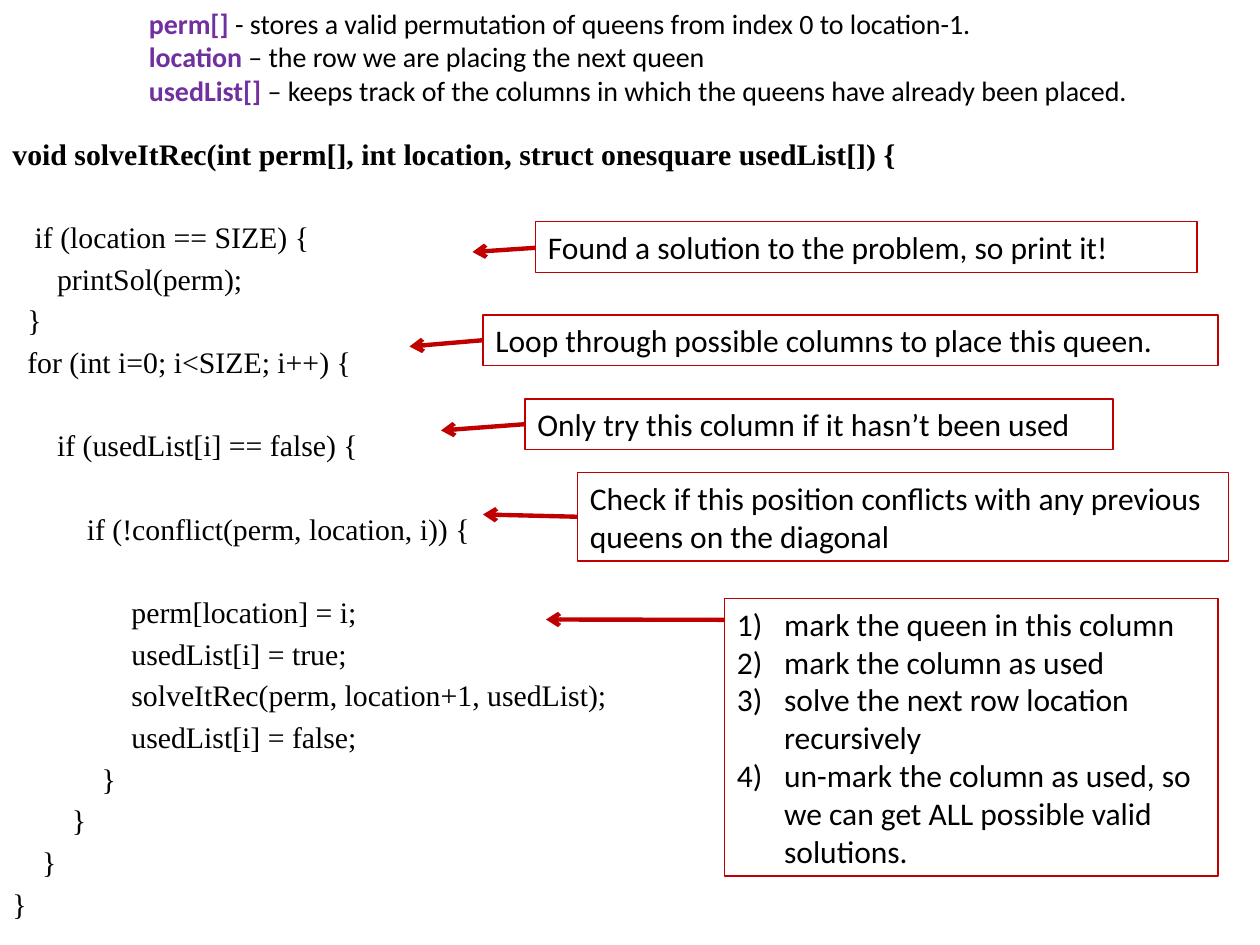
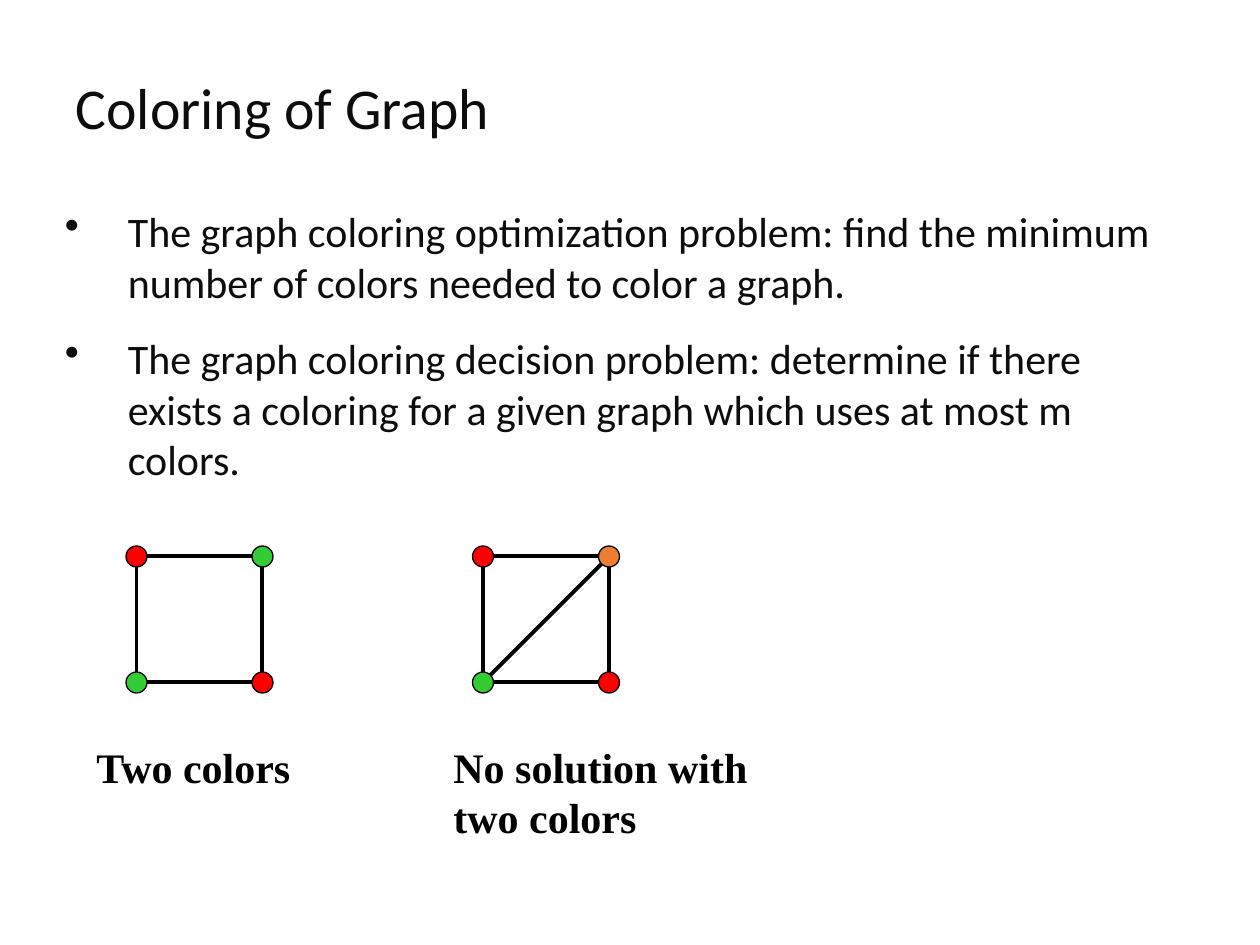
from lxml.etree import SubElement
from pptx import Presentation
from pptx.dml.color import RGBColor
from pptx.enum.shapes import MSO_CONNECTOR, MSO_SHAPE
from pptx.enum.text import MSO_ANCHOR, MSO_AUTO_SIZE, PP_ALIGN
from pptx.oxml.ns import qn
from pptx.util import Pt

TITLE_ONLY, BLANK = 5, 6
BLACK, WHITE, INK = "000000", "FFFFFF", "0D0D0D"
RED, GREEN, ORANGE = "FF0000", "33CC33", "ED7D31"
CALLOUT_RED, KEYWORD_PURPLE = "C00000", "7030A0"
SANS, SERIF = "Calibri", "Times New Roman"

TERMS = [
    ("perm[] ", "- stores a valid permutation of queens from index 0 to location-1."),
    ("location", " – the row we are placing the next queen"),
    ("usedList[] ", "– keeps track of the columns in which the queens have already been placed."),
]

# Indent in characters, blank lines above, text
CODE = [
    (0, 0, "void solveItRec(int perm[], int location, struct onesquare usedList[]) {"),
    (3, 1, "if (location == SIZE) {"),
    (6, 0, "printSol(perm);"),
    (2, 0, "}"),
    (2, 0, "for (int i=0; i<SIZE; i++) {"),
    (6, 1, "if (usedList[i] == false) {"),
    (10, 1, "if (!conflict(perm, location, i)) {"),
    (16, 1, "perm[location] = i;"),
    (16, 0, "usedList[i] = true;"),
    (16, 0, "solveItRec(perm, location+1, usedList);"),
    (16, 0, "usedList[i] = false;"),
    (12, 0, "}"),
    (8, 0, "}"),
    (4, 0, "}"),
    (0, 0, "}"),
]

# Box, arrow start height, arrow tip, text
CALLOUTS = [
    ((306, 126.7, 378, 29), 141.6, (270, 144),
     ["Found a solution to the problem, so print it!"]),
    ((276, 180, 420, 29), 194.4, (234, 198),
     ["Loop through possible columns to place this queen."]),
    ((300, 228, 336, 29), 242.4, (252, 246),
     ["Only try this column if it hasn’t been used"]),
    ((330, 270, 372, 50.6), 295.3, (276, 294),
     ["Check if this position conflicts with any previous queens on the diagonal"]),
    ((414, 342, 282, 158.6), 354.2, (312, 354),
     ["mark the queen in this column",
      "mark the column as used",
      "solve the next row location recursively",
      "un-mark the column as used, so we can get ALL possible valid solutions."]),
]

PROBLEMS = [
    "The graph coloring optimization problem: find the minimum number of colors "
    "needed to color a graph.",
    "The graph coloring decision problem: determine if there exists a coloring "
    "for a given graph which uses at most m colors.",
]


def color(hex_string):
    return RGBColor.from_string(hex_string)


class Deck:
    CODE_SIZE, CODE_LINE, CODE_GAP = 17, 16.3, 7.5
    GRAPH_SIDE, NODE = 72, 12

    def __init__(self):
        self.presentation = Presentation()
        self.presentation.slide_width = Pt(720)
        self.presentation.slide_height = Pt(540)
        self.slide = None

    def add_slide(self, layout):
        layouts = self.presentation.slide_layouts
        self.slide = self.presentation.slides.add_slide(layouts[layout])

    def style(self, paragraph, size, font=SANS, ink=BLACK, bold=False):
        paragraph.alignment = PP_ALIGN.LEFT
        paragraph.font.size = Pt(size)
        paragraph.font.name = font
        paragraph.font.bold = bold
        paragraph.font.color.rgb = color(ink)

    def indent(self, paragraph, margin, hanging=0):
        properties = paragraph._p.get_or_add_pPr()
        properties.set("marL", str(Pt(margin)))
        properties.set("indent", str(-Pt(hanging)))
        return properties

    def paragraphs(self, frame, count):
        """Prepare a wrapped, top-anchored frame and return its paragraphs."""
        frame.word_wrap = True
        frame.vertical_anchor = MSO_ANCHOR.TOP
        for _ in range(count - 1):
            frame.add_paragraph()
        return frame.paragraphs

    def box(self, place, kind=MSO_SHAPE.RECTANGLE, fill=None, line=None, width=0.75):
        shape = self.slide.shapes.add_shape(kind, *map(Pt, place))
        shape.shadow.inherit = False
        if fill:
            shape.fill.solid()
            shape.fill.fore_color.rgb = color(fill)
        else:
            shape.fill.background()
        if line:
            shape.line.color.rgb = color(line)
            shape.line.width = Pt(width)
        else:
            shape.line.fill.background()
        return shape

    def text(self, place, lines, size, gap=0, **style):
        shape = self.slide.shapes.add_textbox(*map(Pt, place))
        for paragraph, line in zip(self.paragraphs(shape.text_frame, len(lines)), lines):
            paragraph.text = line
            paragraph.space_before = Pt(gap)
            self.style(paragraph, size, **style)
        return shape

    def title(self, place, text):
        shape = self.slide.shapes.title
        shape.left, shape.top, shape.width, shape.height = map(Pt, place)
        frame = shape.text_frame
        frame.text = text
        frame.auto_size = MSO_AUTO_SIZE.NONE
        frame.vertical_anchor = MSO_ANCHOR.MIDDLE
        frame.paragraphs[0].line_spacing = 0.9
        self.style(frame.paragraphs[0], 33, ink=INK)

    def bullets(self, place, lines):
        shape = self.text(place, lines, 24, gap=15, ink=INK)
        for paragraph in shape.text_frame.paragraphs:
            self.mark(paragraph, 36, "a:buChar", char="•")

    def mark(self, paragraph, margin, tag, **attributes):
        """Give a paragraph a hanging bullet or number."""
        properties = self.indent(paragraph, margin, margin)
        bullet = SubElement(properties, qn(tag), attributes)
        defaults = properties.find(qn("a:defRPr"))
        if defaults is not None:
            defaults.addprevious(bullet)

    def terms(self, place, terms):
        shape = self.slide.shapes.add_textbox(*map(Pt, place))
        for paragraph, (term, meaning) in zip(
                self.paragraphs(shape.text_frame, len(terms)), terms):
            self.style(paragraph, 16)
            keyword = paragraph.add_run()
            keyword.text = term
            keyword.font.bold = True
            keyword.font.color.rgb = color(KEYWORD_PURPLE)
            paragraph.add_run().text = meaning

    def code(self, place, lines):
        shape = self.box(place, fill=WHITE)
        pitch = self.CODE_LINE + self.CODE_GAP
        for number, (paragraph, (depth, blanks, line)) in enumerate(
                zip(self.paragraphs(shape.text_frame, len(lines)), lines)):
            paragraph.text = line
            paragraph.line_spacing = Pt(self.CODE_LINE)
            paragraph.space_before = Pt(self.CODE_GAP + blanks * pitch)
            self.indent(paragraph, depth * self.CODE_SIZE / 4)
            self.style(paragraph, self.CODE_SIZE, font=SERIF, bold=number == 0)

    def line(self, start, end, ink, width, arrow=False):
        connector = self.slide.shapes.add_connector(
            MSO_CONNECTOR.STRAIGHT, *map(Pt, (*start, *end)))
        connector.line.color.rgb = color(ink)
        connector.line.width = Pt(width)
        if arrow:
            SubElement(connector.line._get_or_add_ln(), qn("a:tailEnd"), type="arrow")
        SubElement(connector._element.spPr, qn("a:effectLst"))

    def callout(self, place, arrow_top, tip, lines):
        """Add an outlined note, numbered if it has several lines, and its arrow."""
        shape = self.box(place, line=CALLOUT_RED)
        for paragraph, line in zip(self.paragraphs(shape.text_frame, len(lines)), lines):
            paragraph.text = line
            if len(lines) > 1:
                self.mark(paragraph, 27, "a:buAutoNum", type="arabicParenR")
            self.style(paragraph, 18)
        self.line((place[0], arrow_top), tip, CALLOUT_RED, 2.5, arrow=True)

    def graph(self, left, top, node_colors, diagonal=False):
        """Draw a square graph; node colours run clockwise from the top left."""
        side, node = self.GRAPH_SIDE, self.NODE
        right, bottom = left + side, top + side
        self.box((left, top, side, side), line=BLACK, width=2.25)
        if diagonal:
            self.line((left, bottom), (right, top), BLACK, 2.25)
        corners = [(left, top), (right, top), (right, bottom), (left, bottom)]
        for (x, y), fill in zip(corners, node_colors):
            self.box((x - node / 2, y - node / 2, node, node),
                     MSO_SHAPE.OVAL, fill=fill, line=BLACK)


def main():
    deck = Deck()

    deck.add_slide(BLANK)
    deck.code((0, 78, 564, 462), CODE)
    deck.terms((78, 0, 660, 65), TERMS)
    for callout in CALLOUTS:
        deck.callout(*callout)

    deck.add_slide(TITLE_ONLY)
    deck.title((36, 42, 376, 43), "Coloring of Graph")
    deck.bullets((30, 114, 654, 166), PROBLEMS)
    deck.graph(78, 318, [RED, GREEN, RED, GREEN])
    deck.graph(276, 318, [RED, ORANGE, RED, GREEN], diagonal=True)
    deck.text((48, 420, 162, 36), ["Two colors"], 24, gap=15, font=SERIF, bold=True)
    deck.text((252, 420, 204, 65), ["No solution with two colors"], 24,
              gap=15, font=SERIF, bold=True)

    deck.presentation.save("out.pptx")


if __name__ == "__main__":
    main()
